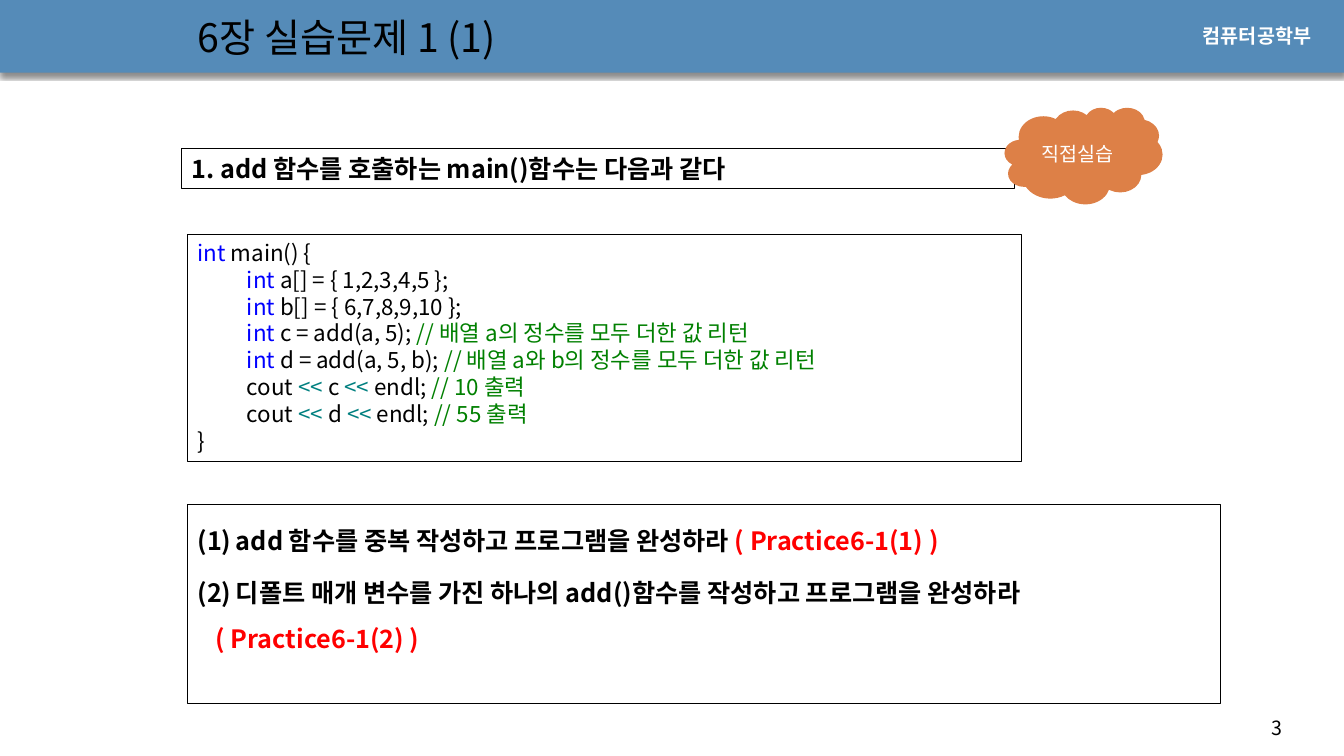
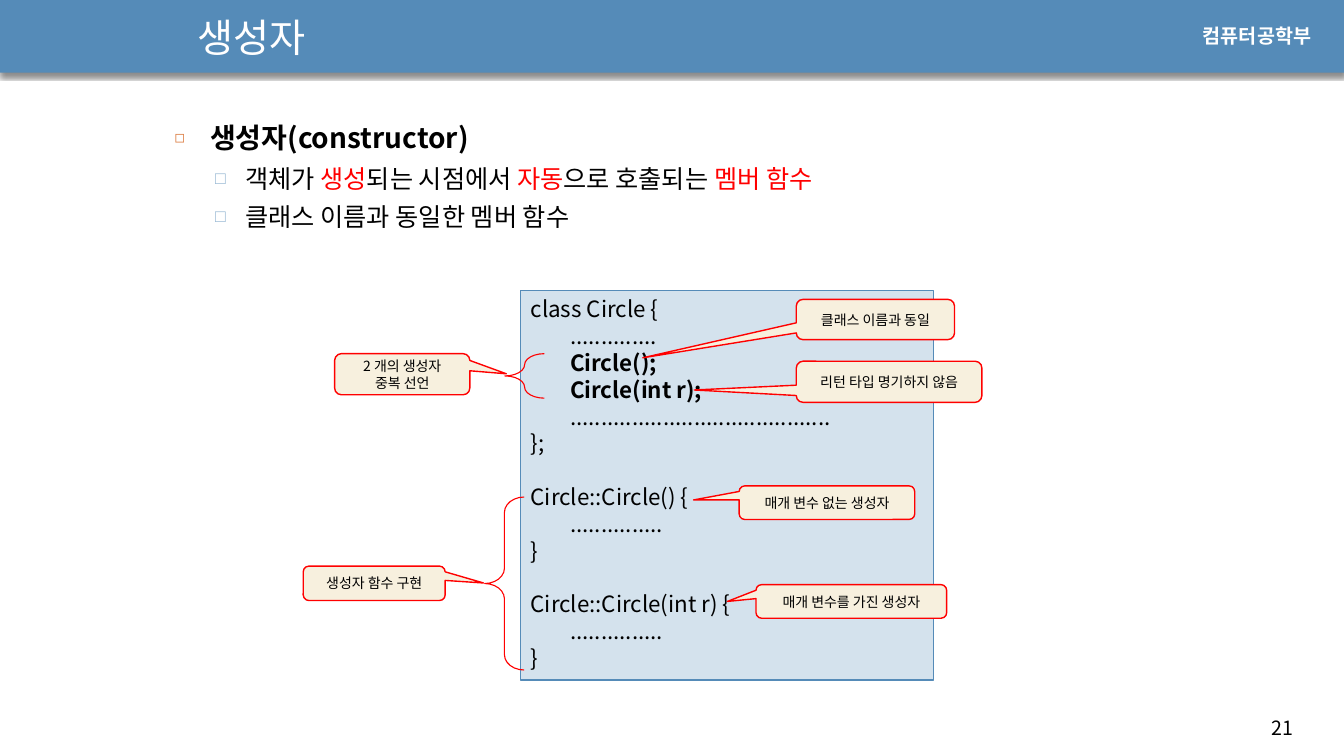
"""Build two lecture slides: a function exercise and an introduction to constructors."""
from dataclasses import dataclass

from lxml.etree import SubElement
from pptx import Presentation
from pptx.dml.color import RGBColor
from pptx.enum.shapes import MSO_SHAPE
from pptx.enum.text import MSO_ANCHOR, MSO_AUTO_SIZE, PP_ALIGN
from pptx.oxml.ns import qn
from pptx.util import Inches, Pt

COLORS = {
    "black": "000000",
    "white": "FFFFFF",
    "band": "558BB8",
    "panel": "D4E2ED",
    "note": "F7F0DE",
    "cloud": "DD8047",
    "square": "94B6D2",
    "red": "FF0000",
    "keyword": "0000FF",
    "comment": "008000",
    "operator": "008080",
}
FONT = "Noto Sans CJK KR"
COLUMNS, ROWS = 80, 45
CELL = Inches(7.5) / ROWS
CODE_GAP = 19


@dataclass
class Line:
    """One paragraph: plain text or (text, colour) spans, with its format."""

    spans: object
    size: float = 16
    bold: bool = False
    color: str = "black"
    font: str = FONT
    align: object = PP_ALIGN.LEFT
    level: int = 0
    margin: float = 0
    indent: float = 0
    before: float = 0
    after: float = 0
    spacing: float = 1.0
    bullet: tuple = ()


def rgb(name):
    """Return the named colour."""
    return RGBColor.from_string(COLORS[name])


def grid(*cells):
    """Turn grid columns and rows into lengths."""
    return [round(cell * CELL) for cell in cells]


def add_bullet(properties, bullet):
    """Give a paragraph a numbered or a square bullet."""
    if bullet[0] == "number":
        SubElement(properties, qn("a:buFont"), typeface="+mj-lt")
        SubElement(properties, qn("a:buAutoNum"), type="arabicParenBoth")
        return
    character, color, percent = bullet
    tint = SubElement(properties, qn("a:buClr"))
    SubElement(tint, qn("a:srgbClr"), val=COLORS[color])
    SubElement(properties, qn("a:buSzPct"), val=str(percent * 1000))
    SubElement(properties, qn("a:buChar"), char=character)


def write_line(para, line):
    """Fill a paragraph with the spans and format of a line."""
    properties = para._p.get_or_add_pPr()
    properties.set("marL", str(Inches(line.margin)))
    properties.set("indent", str(Inches(line.indent)))
    if line.bullet:
        add_bullet(properties, line.bullet)
    para.level = line.level
    para.alignment = line.align
    para.line_spacing = line.spacing
    para.space_before, para.space_after = Pt(line.before), Pt(line.after)
    font = para.font
    font.size, font.bold, font.name = Pt(line.size), line.bold, line.font
    font.color.rgb = rgb(line.color)
    SubElement(properties.find(qn("a:defRPr")), qn("a:ea"), typeface=line.font)
    spans = [(line.spans, None)] if isinstance(line.spans, str) else line.spans
    for text, color in spans:
        span = para.add_run()
        span.text = text
        if color:
            span.font.color.rgb = rgb(color)


def write(box, lines, anchor=MSO_ANCHOR.TOP):
    """Write lines into a shape."""
    frame = box.text_frame
    frame.word_wrap = True
    frame.auto_size = MSO_AUTO_SIZE.NONE
    frame.vertical_anchor = anchor
    for index, line in enumerate(lines):
        write_line(frame.add_paragraph() if index else frame.paragraphs[0], line)


def add_box(page, cells, fill=None, line=None, width=0.5, kind=MSO_SHAPE.RECTANGLE):
    """Add a preset shape without a shadow."""
    box = page.shapes.add_shape(kind, *grid(*cells))
    box.shadow.inherit = False
    if fill:
        box.fill.solid()
        box.fill.fore_color.rgb = rgb(fill)
    else:
        box.fill.background()
    if line:
        box.line.color.rgb = rgb(line)
        box.line.width = Pt(width)
    else:
        box.line.fill.background()
    return box


def add_panel(page, cells, lines, fill="white", line="black", width=0.5):
    """Add an outlined rectangle of text."""
    write(add_box(page, cells, fill, line, width), lines)


def add_label(page, cells, line):
    """Add a one-line text box."""
    write(page.shapes.add_textbox(*grid(*cells)), [line])


def add_callout(page, cells, tip, *texts):
    """Add a rounded callout whose tip is a share of its size."""
    box = add_box(page, cells, "note", "red", 1, MSO_SHAPE.ROUNDED_RECTANGULAR_CALLOUT)
    box.adjustments[0], box.adjustments[1] = tip
    lines = [Line(text, size=10, align=PP_ALIGN.CENTER) for text in texts]
    write(box, lines, MSO_ANCHOR.MIDDLE)


def add_brace(page, cells):
    """Add a brace that points left."""
    brace = add_box(page, cells, None, "red", 0.79, MSO_SHAPE.RIGHT_BRACE)
    brace.rotation = 180
    brace.adjustments[0] = 0.39


def add_band(page):
    """Add the shadowed title band behind everything else."""
    band = add_box(page, (0, 0, COLUMNS, 4.33), "band")
    effects = band.element.spPr.find(qn("a:effectLst"))
    shadow = SubElement(effects, qn("a:outerShdw"), blurRad=str(Pt(3)),
                        dist=str(Pt(2.4)), dir="5400000", rotWithShape="0")
    tint = SubElement(shadow, qn("a:srgbClr"), val=COLORS["black"])
    SubElement(tint, qn("a:alpha"), val="45000")
    page.shapes.element.insert(2, band.element)


def add_page(deck, layout, title, color, number):
    """Add a slide with the shared band, title, department and number."""
    page = deck.slides.add_slide(deck.slide_layouts.get_by_name(layout))
    add_band(page)
    heading = page.shapes.title
    heading.left, heading.top, heading.width, heading.height = grid(11.17, 0.3, 44.4, 3.8)
    write(heading, [Line(title, size=28, color=color)], MSO_ANCHOR.MIDDLE)
    add_label(page, (71, 1.15, 8.2, 2.05),
              Line("컴퓨터공학부", size=14, bold=True, color="white", font="Arial"))
    add_label(page, (75.1, 42.3, 4.3, 2.05), Line(number, size=14))
    return page


def declare(code, comment=""):
    """Return an indented line that starts with the int keyword."""
    return Line([("int ", "keyword"), (code, None), (comment, "comment")], indent=0.49)


def output(name, comment):
    """Return an indented line that prints a variable."""
    return Line([("cout ", None), ("<<", "operator"), (f" {name} ", None),
                 ("<< ", "operator"), ("endl; ", None), (comment, "comment")], indent=0.49)


def build_exercise(deck):
    """Build the exercise on overloading add."""
    page = add_page(deck, "Title Only", "6장 실습문제 1 (1)", "black", "3")
    add_panel(page, (11.17, 13.93, 49.6, 13.55), [
        Line([("int", "keyword"), (" main() {", None)]),
        declare("a[] = { 1,2,3,4,5 };"),
        declare("b[] = { 6,7,8,9,10 };"),
        declare("c = add(a, 5); ", "// 배열 a의 정수를 모두 더한 값 리턴"),
        declare("d = add(a, 5, b); ", "// 배열 a와 b의 정수를 모두 더한 값 리턴"),
        output("c", "// 10 출력"),
        output("d", "// 55 출력"),
        Line("}"),
    ])
    add_panel(page, (10.8, 8.82, 49.6, 2.4), [
        Line("1. add 함수를 호출하는 main()함수는 다음과 같다", size=18, bold=True)])
    task = {"size": 18, "bold": True}
    numbered = {**task, "margin": 0.38, "indent": -0.38, "bullet": ("number",)}
    add_panel(page, (11.17, 30.05, 61.5, 11.8), [
        Line([("add 함수를 중복 작성하고 프로그램을 완성하라 ", None),
              ("( Practice6-1(1) )", "red")], spacing=1.5, **numbered),
        Line("디폴트 매개 변수를 가진 하나의 add()함수를 작성하고 프로그램을 완성하라",
             before=16, **numbered),
        Line("( Practice6-1(2) )", color="red", indent=0.18, spacing=1.5, **task),
    ])
    cloud = add_box(page, (59.8, 6.4, 9.4, 5.75), "cloud", kind=MSO_SHAPE.CLOUD)
    write(cloud, [Line("직접실습", size=14, color="white", align=PP_ALIGN.CENTER)],
          MSO_ANCHOR.MIDDLE)


def build_constructor(deck):
    """Build the introduction to constructors."""
    page = add_page(deck, "Title and Content", "생성자", "white", "21")
    body = page.placeholders[1]
    body.left, body.top, body.width, body.height = grid(9.8, 6.9, 66.6, 33)
    point = {"size": 18, "level": 1, "margin": 0.7, "indent": -0.3, "after": 6,
             "bullet": ("□", "square", 70)}
    write(body, [
        Line("생성자(constructor)", size=20, bold=True, margin=0.35, indent=-0.35,
             after=6, bullet=("◻", "cloud", 60)),
        Line([("객체가 ", None), ("생성", "red"), ("되는 시점에서 ", None), ("자동", "red"),
              ("으로 호출되는 ", None), ("멤버 함수", "red")], **point),
        Line("클래스 이름과 동일한 멤버 함수", **point),
    ])
    member = {"indent": 0.39}
    add_panel(page, (31, 17.28, 24.55, 23.2), [
        Line("class Circle {"),
        Line("..............", **member),
        Line("Circle();", bold=True, **member),
        Line("Circle(int r);", bold=True, **member),
        Line("..........................................", **member),
        Line("};"),
        Line("Circle::Circle() {", before=CODE_GAP),
        Line("...............", **member),
        Line("}"),
        Line("Circle::Circle(int r) {", before=CODE_GAP),
        Line("...............", **member),
        Line("}"),
    ], "panel", "band", 0.75)
    add_brace(page, (28.85, 29.58, 2.35, 10.3))
    add_brace(page, (30.05, 21.05, 2.35, 2.65))
    add_callout(page, (47.4, 21.5, 11.05, 2.45), (-1.05, 0.2), "리턴 타입 명기하지 않음")
    add_callout(page, (47.4, 17.82, 9.42, 2.4), (-1.47, 0.95), "클래스 이름과 동일")
    add_callout(page, (19.92, 21.05, 8.05, 2.45), (0.77, -0.01),
                "2 개의 생성자", "중복 선언")
    add_callout(page, (44, 28.92, 10.45, 2), (-0.76, -0.08), "매개 변수 없는 생성자")
    add_callout(page, (45, 34.8, 11.35, 2), (-0.65, 0), "매개 변수를 가진 생성자")
    add_callout(page, (18.05, 33.7, 8.45, 2.05), (0.77, -0.01), "생성자 함수 구현")


def main():
    """Create the deck and save it."""
    deck = Presentation()
    deck.slide_width, deck.slide_height = grid(COLUMNS, ROWS)
    build_exercise(deck)
    build_constructor(deck)
    deck.save("out.pptx")


if __name__ == "__main__":
    main()
